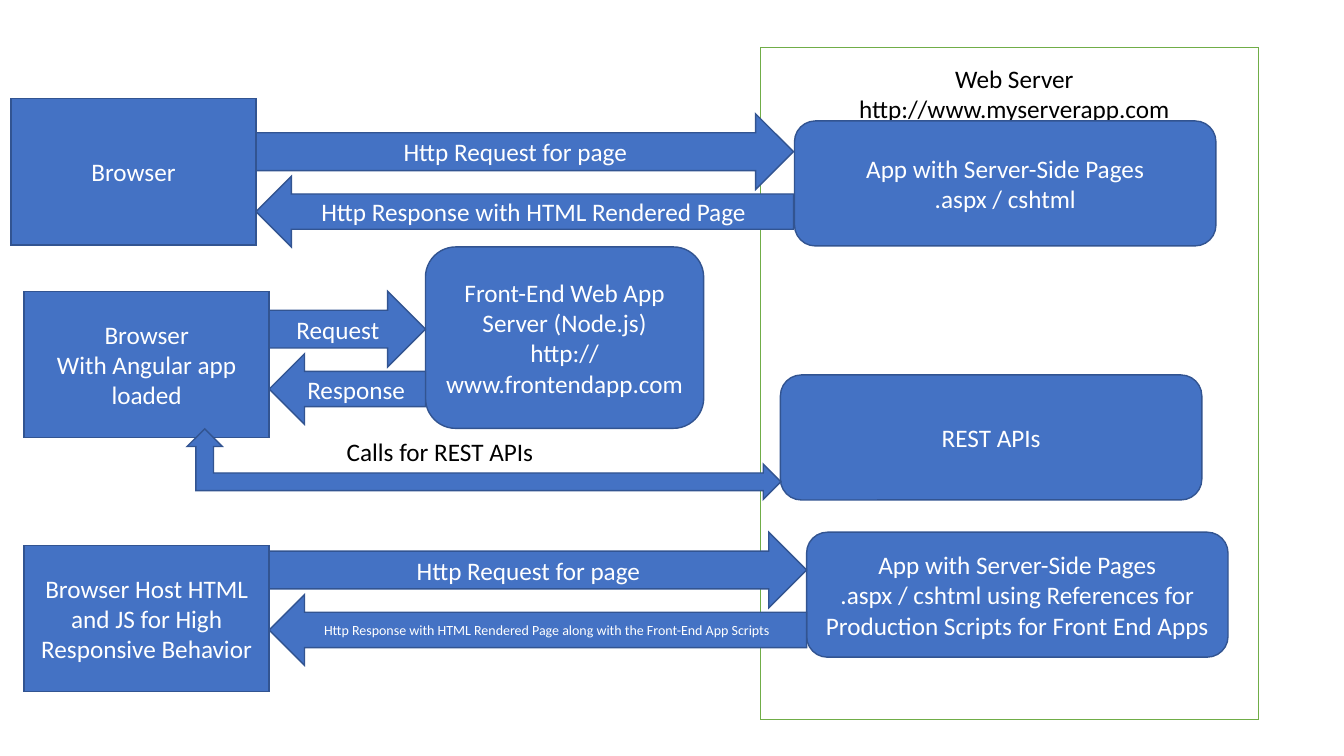
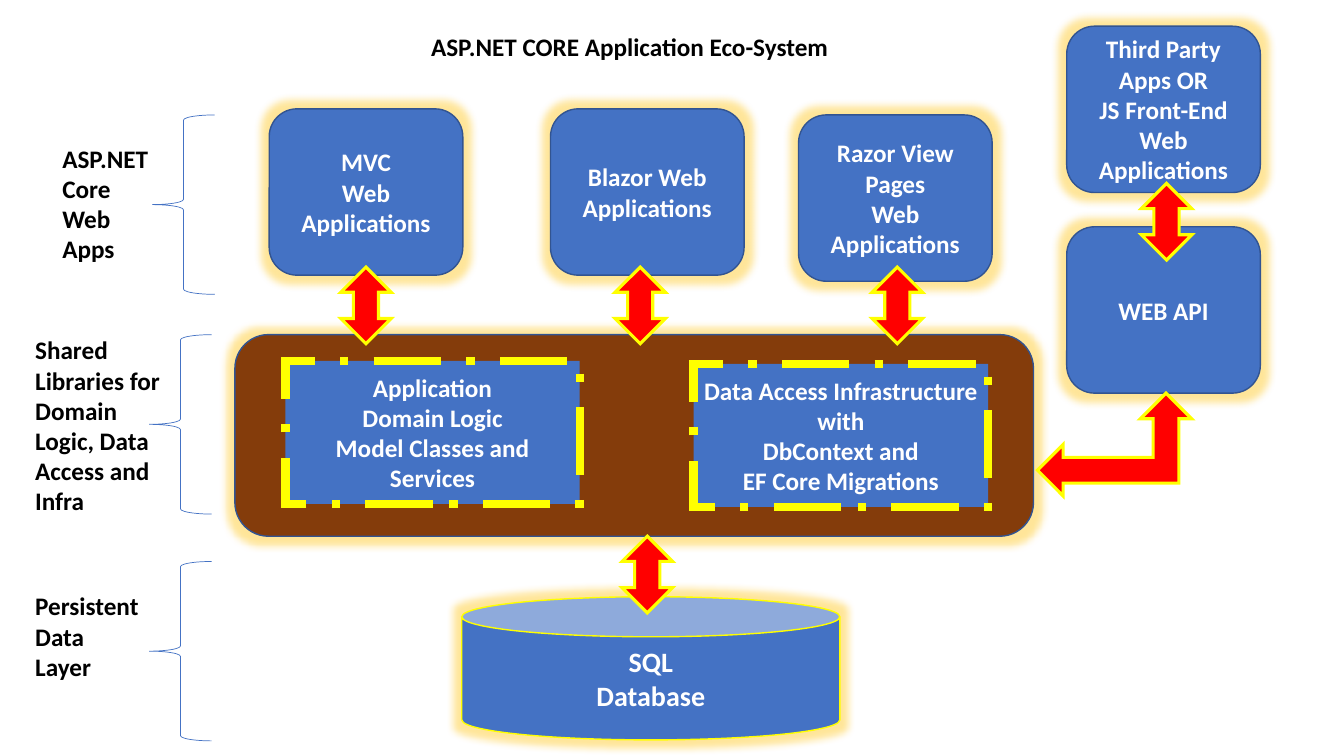
from dataclasses import dataclass

from lxml import etree
from pptx import Presentation
from pptx.dml.color import RGBColor
from pptx.enum.dml import MSO_LINE
from pptx.enum.shapes import MSO_SHAPE
from pptx.enum.text import MSO_ANCHOR, MSO_AUTO_SIZE, PP_ALIGN
from pptx.oxml.ns import qn
from pptx.util import Inches, Pt

RECT = MSO_SHAPE.RECTANGLE
ROUND = MSO_SHAPE.ROUNDED_RECTANGLE
RIGHT = MSO_SHAPE.RIGHT_ARROW
LEFT = MSO_SHAPE.LEFT_ARROW
LEFT_UP = MSO_SHAPE.LEFT_UP_ARROW
UP_DOWN = MSO_SHAPE.UP_DOWN_ARROW
BRACE = MSO_SHAPE.LEFT_BRACE
CAN = MSO_SHAPE.CAN
DASH = MSO_LINE.LONG_DASH_DOT
ALIGN_LEFT, CENTER = PP_ALIGN.LEFT, PP_ALIGN.CENTER
TOP, MIDDLE = MSO_ANCHOR.TOP, MSO_ANCHOR.MIDDLE

FONT = "Calibri"
BLUE, NAVY, GREEN = "4472C4", "325491", "70AD47"
BROWN, RED, YELLOW, AMBER = "843C0B", "FF0000", "FFFF00", "FFC000"
BLACK, WHITE = "000000", "FFFFFF"
TITLE_ONLY, BLANK = 5, 6


@dataclass(frozen=True)
class Box:
    left: float
    top: float
    width: float
    height: float
    text: str = ""

    def lengths(self):
        return [Inches(v) for v in (self.left, self.top, self.width, self.height)]


@dataclass(frozen=True)
class Exchange:
    """A request arrow with its response arrow below."""
    left: float
    top: float
    width: float
    request: str
    response: str
    response_size: int = 18


@dataclass(frozen=True)
class Layer:
    """A label with the brace that ties it to a row of the diagram."""
    label: Box
    brace_left: float
    brace_top: float


def rgb(color: str) -> RGBColor:
    return RGBColor.from_string(color)


def write(tf, text: str, *, size=18, color=BLACK, bold=False, align=ALIGN_LEFT,
          anchor=TOP) -> None:
    """Write each line of text as a paragraph."""
    tf.word_wrap = True
    tf.vertical_anchor = anchor
    for i, line in enumerate(text.split("\n")):
        p = tf.paragraphs[0] if i == 0 else tf.add_paragraph()
        p.alignment = align
        r = p.add_run()
        r.text = line
        r.font.name = FONT
        r.font.size = Pt(size)
        r.font.bold = bold
        r.font.color.rgb = rgb(color)


def add_label(s, box: Box, **fmt) -> None:
    tf = s.shapes.add_textbox(*box.lengths()).text_frame
    write(tf, box.text, **fmt)
    tf.auto_size = MSO_AUTO_SIZE.SHAPE_TO_FIT_TEXT


def add_glow(sp) -> None:
    effects = sp._element.spPr.find(qn("a:effectLst"))
    glow = etree.SubElement(effects, qn("a:glow"), rad=str(Pt(11)))
    clr = etree.SubElement(glow, qn("a:srgbClr"), val=AMBER)
    etree.SubElement(clr, qn("a:alpha"), val="40000")


def draw(s, kind, box: Box, *, fill=BLUE, line=NAVY, weight=1.0, dash=None,
         glow=False, size=18, bold=False):
    sp = s.shapes.add_shape(kind, *box.lengths())
    sp.shadow.inherit = False
    if fill:
        sp.fill.solid()
        sp.fill.fore_color.rgb = rgb(fill)
    else:
        sp.fill.background()
    sp.line.color.rgb = rgb(line)
    sp.line.width = Pt(weight)
    if dash:
        sp.line.dash_style = dash
    ln = sp._element.spPr.find(qn("a:ln"))
    etree.SubElement(ln, qn("a:miter"), lim="800000")
    if glow:
        add_glow(sp)
    if box.text:
        write(sp.text_frame, box.text, size=size, color=WHITE, bold=bold,
              align=CENTER, anchor=MIDDLE)
    return sp


def draw_exchange(s, ex: Exchange) -> None:
    draw(s, RIGHT, Box(ex.left, ex.top, ex.width, 0.75, ex.request))
    draw(s, LEFT, Box(ex.left, ex.top + 0.62, ex.width, 0.7, ex.response),
         size=ex.response_size)


def draw_red_arrow(s, kind, box: Box) -> None:
    draw(s, kind, box, fill=RED, line=YELLOW, weight=2.25)


def build_request_flows(prs) -> None:
    s = prs.slides.add_slide(prs.slide_layouts[BLANK])
    draw(s, RECT, Box(7.54, 0.47, 4.94, 6.67), fill=WHITE, line=GREEN)
    add_label(s, Box(7.72, 0.58, 4.68, 0.71,
                     "Web Server\nhttp://www.myserverapp.com"), align=CENTER)

    browser_w, browser_h = 2.43, 1.45
    for left, top, text in (
        (0.11, 0.98, "Browser"),
        (0.24, 2.89, "Browser\nWith Angular app loaded"),
        (0.24, 5.41, "Browser Host HTML and JS for High Responsive Behavior"),
    ):
        draw(s, RECT, Box(left, top, browser_w, browser_h, text))

    app_w, app_h = 4.18, 1.24
    for left, top, text in (
        (7.88, 1.2, "App with Server-Side Pages\n.aspx / cshtml"),
        (7.74, 3.72, "REST APIs"),
        (8, 5.28, "App with Server-Side Pages\n.aspx / cshtml using References "
                  "for Production Scripts for Front End Apps"),
    ):
        draw(s, ROUND, Box(left, top, app_w, app_h, text))
    draw(s, ROUND, Box(4.22, 2.45, 2.76, 1.8,
                       "Front-End Web App Server (Node.js)\nhttp://www.frontendapp.com"))

    for ex in (
        Exchange(2.54, 1.13, 5.33, "Http Request for page",
                 "Http Response with HTML Rendered Page"),
        Exchange(2.67, 2.89, 1.55, "Request", "Response"),
        Exchange(2.67, 5.28, 5.33, "Http Request for page",
                 "Http Response with HTML Rendered Page along with the "
                 "Front-End App Scripts", 10),
    ):
        draw_exchange(s, ex)

    add_label(s, Box(3.34, 4.28, 2.92, 0.4, "Calls for REST APIs"))
    rest_arrow = draw(s, LEFT_UP, Box(4.45, 1.66, 0.7, 5.89))
    rest_arrow.rotation = 90


def build_ecosystem(prs) -> None:
    s = prs.slides.add_slide(prs.slide_layouts[TITLE_ONLY])
    title = s.shapes.title
    title.left, title.top, title.width, title.height = Box(2.33, 0.26, 7.83, 0.4).lengths()
    write(title.text_frame, "ASP.NET CORE Application Eco-System", bold=True, align=CENTER)
    title.text_frame.auto_size = MSO_AUTO_SIZE.NONE

    database = draw(s, CAN, Box(4.58, 5.92, 3.75, 1.42, "SQL\nDatabase"),
                    line=YELLOW, glow=True, size=20, bold=True)
    database.adjustments[0] = 0.28
    draw(s, ROUND, Box(2.33, 3.32, 7.92, 2), fill=BROWN, glow=True)

    for left, top, text in (
        (2.83, 3.58, "Application\nDomain Logic\nModel Classes and Services"),
        (6.88, 3.61, "Data Access Infrastructure with\nDbContext and\nEF Core Migrations"),
    ):
        draw(s, RECT, Box(left, top, 2.92, 1.42, text), line=YELLOW, weight=6,
             dash=DASH, bold=True)

    for left, top, text in (
        (2.67, 1.08, "MVC\nWeb Applications"),
        (5.46, 1.08, "Blazor Web Applications"),
        (7.92, 1.14, "Razor View Pages\nWeb\nApplications"),
        (10.58, 2.25, "WEB API"),
        (10.58, 0.26, "Third Party Apps OR\nJS Front-End\nWeb Applications"),
    ):
        draw(s, ROUND, Box(left, top, 1.92, 1.65, text), glow=True, bold=True)

    for left, top in ((3.38, 2.65), (6.1, 2.65), (8.65, 2.65), (11.32, 1.82), (6.17, 5.32)):
        draw_red_arrow(s, UP_DOWN, Box(left, top, 0.5, 0.76))
    draw_red_arrow(s, LEFT_UP, Box(10.29, 3.9, 1.53, 1.02))

    for layer in (
        Layer(Box(0.52, 1.37, 1.17, 1.31, "ASP.NET Core\nWeb\nApps"), 1.51, 1.14),
        Layer(Box(0.25, 3.27, 1.45, 1.92,
                  "Shared Libraries for Domain Logic, Data Access and Infra"), 1.48, 3.32),
        Layer(Box(0.25, 5.81, 1.41, 1.01, "Persistent\nData\nLayer"), 1.48, 5.57),
    ):
        draw(s, BRACE, Box(layer.brace_left, layer.brace_top, 0.62, 1.78),
             fill=None, line=BLUE, weight=0.5)
        add_label(s, layer.label, bold=True)


def main() -> None:
    prs = Presentation()
    prs.slide_width, prs.slide_height = Inches(13.33), Inches(7.5)
    build_request_flows(prs)
    build_ecosystem(prs)
    prs.save("out.pptx")


if __name__ == "__main__":
    main()
